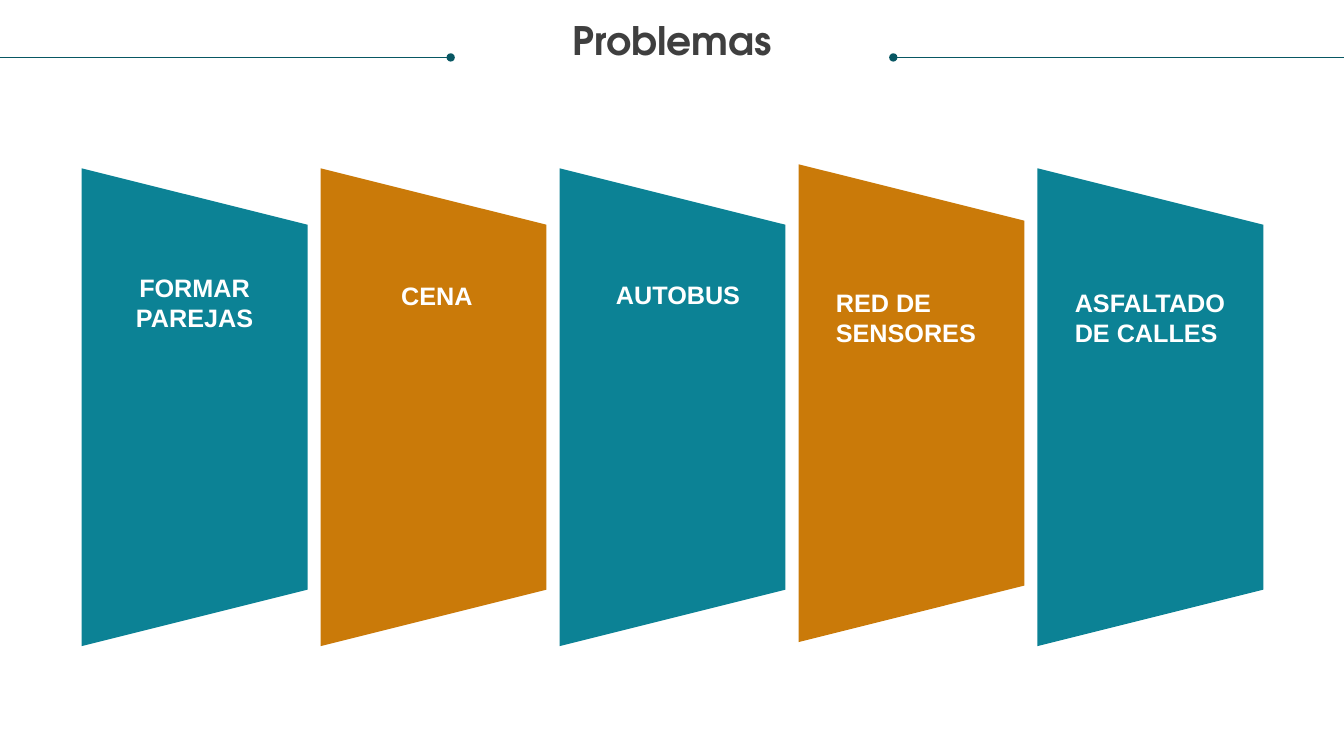
from lxml import etree
from pptx import Presentation
from pptx.dml.color import RGBColor
from pptx.enum.shapes import MSO_CONNECTOR, MSO_SHAPE
from pptx.enum.text import MSO_ANCHOR, PP_ALIGN
from pptx.oxml.ns import qn
from pptx.util import Inches, Pt

SLIDE_W, SLIDE_H = 13.33, 7.5
COLORS = {"teal": "0C8295", "orange": "CA7A09", "rule": "085763",
          "title": "3F3F3F", "label": "FFFFFF"}
PANELS_BOX = (0.81, 1.67, 11.72, 4.74)
PANEL_GAP = 0.13
LABEL_INSET = 0.37

# text, panel shift, label top within the panels box, label width, indent, alignment
PROBLEMS = [
    ("FORMAR PAREJAS", 0, 1.03, 1.5, 0, PP_ALIGN.CENTER),
    ("CENA", 0, 1.11, 1.5, 0.43, PP_ALIGN.LEFT),
    ("AUTOBUS", 0, 1.1, 1.61, 0, PP_ALIGN.CENTER),
    ("RED DE SENSORES", -0.04, 1.18, 1.61, 0, PP_ALIGN.LEFT),
    ("ASFALTADO DE CALLES", 0, 1.18, 1.61, 0, PP_ALIGN.LEFT),
]


def rgb(name):
    return RGBColor.from_string(COLORS[name])


def write(sp, text, font, size, color, align, indent=0):
    tf = sp.text_frame
    tf.word_wrap = True
    tf.vertical_anchor = MSO_ANCHOR.TOP
    tf.margin_left = Inches(indent)
    tf.margin_right = tf.margin_top = tf.margin_bottom = 0
    p = tf.paragraphs[0]
    p.alignment = align
    r = p.add_run()
    r.text = text
    r.font.name, r.font.size, r.font.bold = font, Pt(size), True
    r.font.color.rgb = rgb(color)
    return p


def add_rule(s, x1, x2, y):
    """Draw a thin line with a dot at its x2 end."""
    line = s.shapes.add_connector(MSO_CONNECTOR.STRAIGHT, Inches(x1), Inches(y),
                                  Inches(x2), Inches(y))
    line.line.color.rgb = rgb("rule")
    line.line.width = Pt(0.75)
    etree.SubElement(line.line._get_or_add_ln(), qn("a:tailEnd"), type="oval")
    etree.SubElement(line._element.spPr, qn("a:effectLst"))


def add_header(s, y, rule_w):
    add_rule(s, 0, rule_w, y)
    add_rule(s, SLIDE_W, SLIDE_W - rule_w, y)
    title = s.shapes.title
    title.left, title.top = Inches(0.25), Inches(0.21)
    title.width, title.height = Inches(SLIDE_W - 0.5), Inches(0.42)
    p = write(title, "Problemas", "TeX Gyre Adventor", 28, "title", PP_ALIGN.CENTER)
    p.line_spacing = 0.9


def add_panel(s, x, y, w, h, color):
    """Place a trapezoid turned a quarter so that it fills the upright box."""
    sp = s.shapes.add_shape(MSO_SHAPE.TRAPEZOID, Inches(x + (w - h) / 2),
                            Inches(y + (h - w) / 2), Inches(h), Inches(w))
    sp.rotation = 90
    sp.adjustments[0] = 0.25
    sp.fill.solid()
    sp.fill.fore_color.rgb = rgb(color)
    sp.line.fill.background()
    sp.shadow.inherit = False


def add_panels(s, x, y, w, h):
    pitch = (w + PANEL_GAP) / len(PROBLEMS)
    for i, (text, shift, label_y, label_w, indent, align) in enumerate(PROBLEMS):
        left = x + i * pitch
        add_panel(s, left, y + shift, pitch - PANEL_GAP, h, ("teal", "orange")[i % 2])
        label = s.shapes.add_textbox(Inches(left + LABEL_INSET), Inches(y + label_y),
                                     Inches(label_w), Inches(0.61))
        write(label, text, "Arial", 18, "label", align, indent)


def main():
    prs = Presentation()
    prs.slide_width, prs.slide_height = Inches(SLIDE_W), Inches(SLIDE_H)
    s = prs.slides.add_slide(prs.slide_layouts[5])
    add_header(s, 0.57, 4.47)
    add_panels(s, *PANELS_BOX)
    prs.save("out.pptx")


if __name__ == "__main__":
    main()
